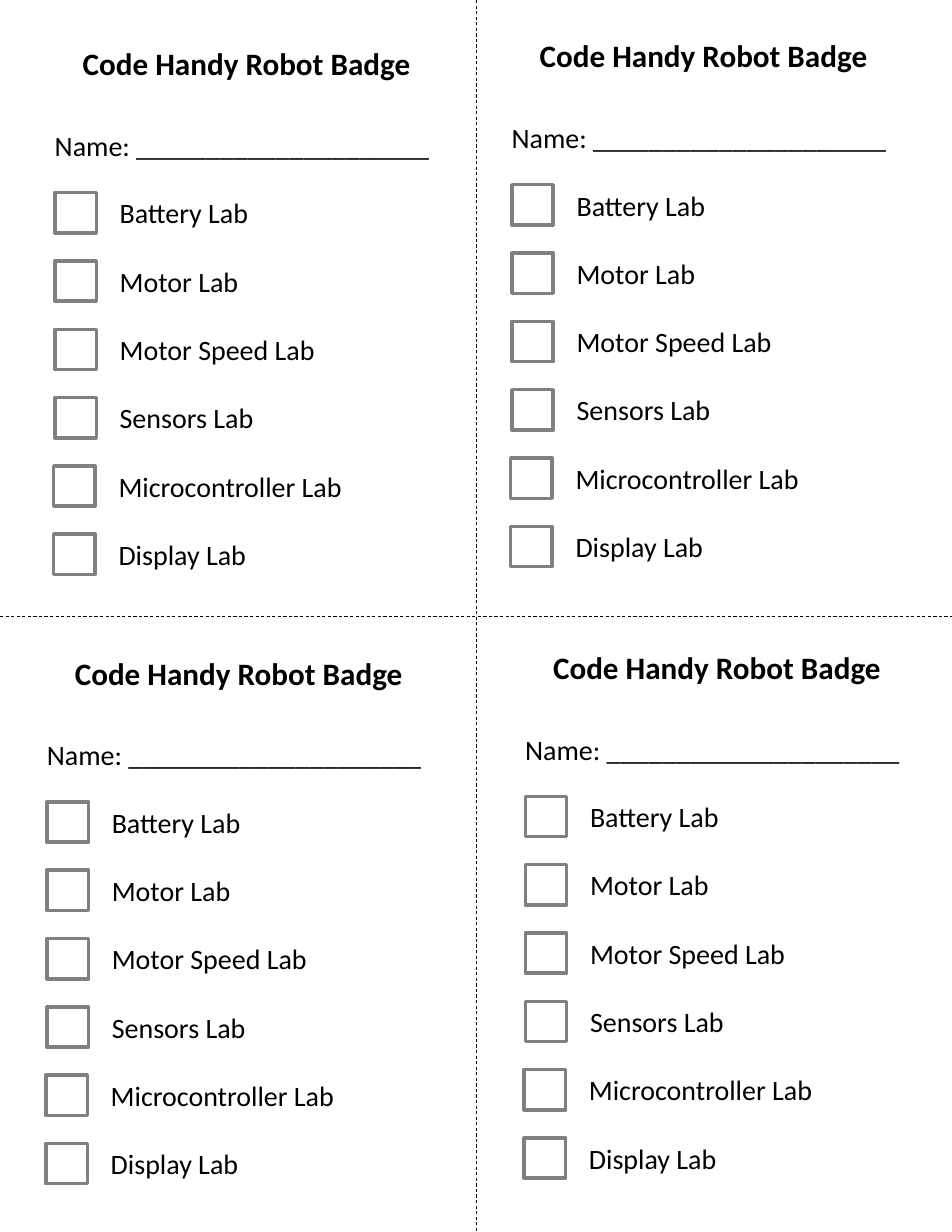
from pptx import Presentation
from pptx.dml.color import RGBColor
from pptx.enum.dml import MSO_LINE
from pptx.enum.shapes import MSO_CONNECTOR, MSO_SHAPE
from pptx.enum.text import MSO_AUTO_SIZE as Auto
from pptx.util import Inches, Pt
from lxml.etree import SubElement
from pptx.oxml.ns import qn

TITLE = "Code Handy Robot Badge"
NAME = "Name: " + "_" * 21
LABS = [
    ("Battery Lab", 1.37),
    ("Motor Lab", 1.27),
    ("Motor Speed Lab", 1.96),
    ("Sensors Lab", 1.41),
    ("Microcontroller Lab", 2.22),
    ("Display Lab", 1.35),
]
BADGES = [(4.47, 0.28), (0.39, 0.35), (0.32, 5.79), (4.59, 5.74)]
WIDE, HIGH = 8.5, 11
FOLDS = [(WIDE / 2, 0, WIDE / 2, HIGH), (0, HIGH / 2, WIDE, HIGH / 2)]
BOX_STEP, TEXT_STEP = 0.61, 0.61


def color(code):
    return RGBColor.from_string(code)


def add_fold(slide, ends):
    fold = slide.shapes.add_connector(MSO_CONNECTOR.STRAIGHT, *map(Inches, ends))
    fold.line.color.rgb = color("000000")
    fold.line.width = Pt(0.5)
    fold.line.dash_style = MSO_LINE.DASH
    SubElement(fold.element.spPr, qn("a:effectLst"))


def add_box(group, x, y):
    box = group.shapes.add_shape(
        MSO_SHAPE.RECTANGLE, *map(Inches, (x, y, 0.37, 0.36)))
    box.shadow.inherit = False
    box.fill.background()
    box.line.color.rgb = color("808080")
    box.line.width = Pt(2.25)


def add_text(group, text, x, y, w, h=0.4, size=18, bold=False, wrap=False):
    frame = group.shapes.add_textbox(*map(Inches, (x, y, w, h))).text_frame
    frame.word_wrap = wrap
    frame.auto_size = Auto.SHAPE_TO_FIT_TEXT
    line = frame.paragraphs[0]
    line.text = text
    font = line.font
    font.name, font.size, font.bold = "Calibri", Pt(size), bold
    font.color.rgb = color("000000")


def add_badge(slide, x, y):
    group = slide.shapes.add_group_shape()
    for row, (lab, width) in enumerate(LABS):
        left = x - 0.01 * (row > 3)
        add_box(group, left + 0.1, y + 1.37 + row * BOX_STEP)
        add_text(group, lab, left + 0.58, y + 1.35 + row * TEXT_STEP, width)
    add_text(group, TITLE, x + 0.25, y, 3.13, 0.44, 20, True, True)
    add_text(group, NAME, x, y + 0.75, 3.59)


deck = Presentation()
deck.slide_width, deck.slide_height = Inches(WIDE), Inches(HIGH)
slide = deck.slides.add_slide(deck.slide_layouts[6])
for ends in FOLDS:
    add_fold(slide, ends)
for x, y in BADGES:
    add_badge(slide, x, y)
deck.save("out.pptx")
